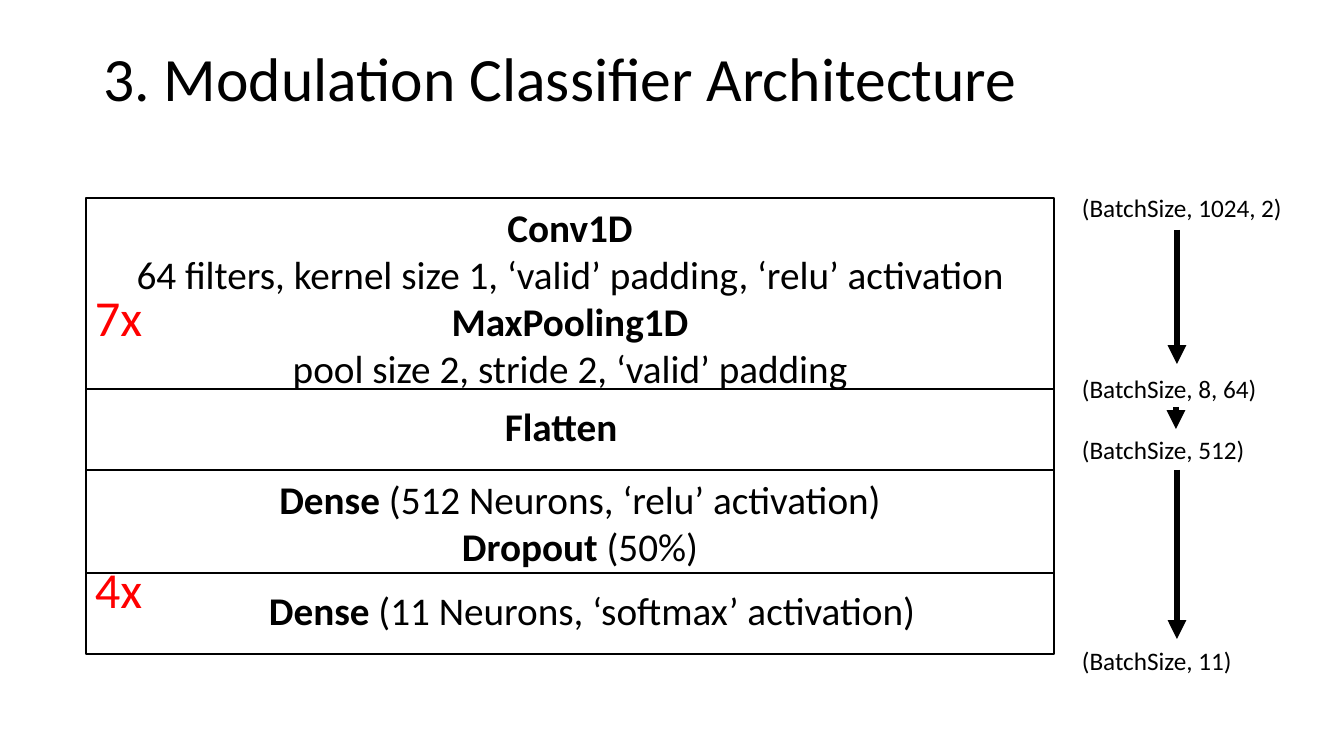
from dataclasses import dataclass

from lxml.etree import SubElement
from pptx import Presentation
from pptx.dml.color import RGBColor
from pptx.enum.shapes import MSO_CONNECTOR, MSO_SHAPE
from pptx.enum.text import MSO_ANCHOR, PP_ALIGN
from pptx.oxml.ns import qn
from pptx.slide import Slide
from pptx.text.text import TextFrame
from pptx.util import Emu, Pt

EMU_PER_PX = 914400 / 100.8
FONT = "Calibri"
COLORS = {"ink": "000000", "repeat": "FF0000"}
STACK_LEFT, STACK_TOP, STACK_WIDTH = 86, 198, 968
BATCH_LINE_PT = 21.6


@dataclass(frozen=True)
class Box:
    left: int
    top: int
    width: int
    height: int


@dataclass(frozen=True)
class Run:
    text: str
    bold: bool = False


@dataclass(frozen=True)
class Layer:
    height: int
    text_box: Box
    lines: list[list[Run]]
    alignment: PP_ALIGN = PP_ALIGN.CENTER


@dataclass(frozen=True)
class RepeatLabel:
    text: str
    box: Box


@dataclass(frozen=True)
class BatchShape:
    text: str
    lines_before: int


@dataclass(frozen=True)
class Arrow:
    x: int
    top: int
    bottom: int


LAYERS = [
    Layer(191, Box(86, 198, 968, 201), [
        [Run("Conv1D", True)],
        [Run("64 filters, kernel size 1, ‘valid’ padding, ‘relu’ activation")],
        [Run("MaxPooling1D", True)],
        [Run("pool size 2, stride 2, ‘valid’ padding")],
    ]),
    Layer(81, Box(495, 397, 167, 57), [[Run("Flatten", True)]], PP_ALIGN.LEFT),
    Layer(103, Box(96, 470, 968, 105), [
        [Run("Dense ", True), Run("(512 Neurons, ‘relu’ activation)")],
        [Run("Dropout", True), Run(" (50%)")],
    ]),
    Layer(81, Box(259, 581, 692, 57), [
        [Run("Dense", True), Run(" (11 Neurons, ‘softmax’ activation)")],
    ], PP_ALIGN.LEFT),
]
REPEAT_LABELS = [
    RepeatLabel("7x", Box(85, 281, 74, 71)),
    RepeatLabel("4x", Box(85, 553, 74, 71)),
]
BATCH_BOX = Box(1072, 187, 226, 499)
BATCH_SHAPES = [
    BatchShape("(BatchSize, 1024, 2)", 0),
    BatchShape("(BatchSize, 8, 64)", 5),
    BatchShape("(BatchSize, 512)", 1),
    BatchShape("(BatchSize, 11)", 6),
]
ARROWS = [Arrow(1177, 230, 364), Arrow(1177, 470, 639), Arrow(1176, 407, 429)]


def px(length: int) -> Emu:
    return Emu(round(length * EMU_PER_PX))


def bounds(box: Box) -> tuple[Emu, Emu, Emu, Emu]:
    return px(box.left), px(box.top), px(box.width), px(box.height)


def color(name: str) -> RGBColor:
    return RGBColor.from_string(COLORS[name])


def fill_text(
    frame: TextFrame,
    lines: list[list[Run]],
    size: int,
    color_name: str = "ink",
    alignment: PP_ALIGN = PP_ALIGN.LEFT,
) -> None:
    frame.word_wrap = True
    for index, line in enumerate(lines):
        paragraph = frame.add_paragraph() if index else frame.paragraphs[0]
        paragraph.alignment = alignment
        for part in line:
            run = paragraph.add_run()
            run.text = part.text
            run.font.name = FONT
            run.font.size = Pt(size)
            run.font.bold = part.bold
            run.font.color.rgb = color(color_name)


def add_title(slide: Slide) -> None:
    title = slide.shapes.title
    title.left, title.top, title.width, title.height = bounds(Box(93, 40, 1159, 83))
    frame = title.text_frame
    fill_text(frame, [[Run("3. Modulation Classifier Architecture")]], 44)
    frame.vertical_anchor = MSO_ANCHOR.MIDDLE
    frame.paragraphs[0].line_spacing = 0.9


def add_layer(slide: Slide, layer: Layer, top: int) -> None:
    frame_box = Box(STACK_LEFT, top, STACK_WIDTH, layer.height)
    rectangle = slide.shapes.add_shape(MSO_SHAPE.RECTANGLE, *bounds(frame_box))
    rectangle.shadow.inherit = False
    rectangle.fill.background()
    rectangle.line.color.rgb = color("ink")
    rectangle.line.width = Pt(1)
    text_box = slide.shapes.add_textbox(*bounds(layer.text_box))
    fill_text(text_box.text_frame, layer.lines, 28, alignment=layer.alignment)


def add_repeat_label(slide: Slide, label: RepeatLabel) -> None:
    text_box = slide.shapes.add_textbox(*bounds(label.box))
    fill_text(text_box.text_frame, [[Run(label.text)]], 36, "repeat")


def add_batch_shapes(slide: Slide) -> None:
    """List the tensor shapes, spaced by whole text lines."""
    frame = slide.shapes.add_textbox(*bounds(BATCH_BOX)).text_frame
    fill_text(frame, [[Run(shape.text)] for shape in BATCH_SHAPES], 18)
    for paragraph, shape in zip(frame.paragraphs, BATCH_SHAPES):
        paragraph.space_before = Pt(shape.lines_before * BATCH_LINE_PT)


def add_arrow(slide: Slide, arrow: Arrow) -> None:
    connector = slide.shapes.add_connector(
        MSO_CONNECTOR.STRAIGHT,
        px(arrow.x), px(arrow.top), px(arrow.x), px(arrow.bottom),
    )
    connector.line.color.rgb = color("ink")
    connector.line.width = Pt(4.5)
    properties = connector.element.spPr
    SubElement(properties.find(qn("a:ln")), qn("a:tailEnd"), type="triangle")
    SubElement(properties, qn("a:effectLst"))


def main() -> None:
    presentation = Presentation()
    presentation.slide_width, presentation.slide_height = px(1344), px(756)
    slide = presentation.slides.add_slide(presentation.slide_layouts[5])
    add_title(slide)
    top = STACK_TOP
    for layer in LAYERS:
        add_layer(slide, layer, top)
        top += layer.height
    for label in REPEAT_LABELS:
        add_repeat_label(slide, label)
    add_batch_shapes(slide)
    for arrow in ARROWS:
        add_arrow(slide, arrow)
    presentation.save("out.pptx")


if __name__ == "__main__":
    main()
